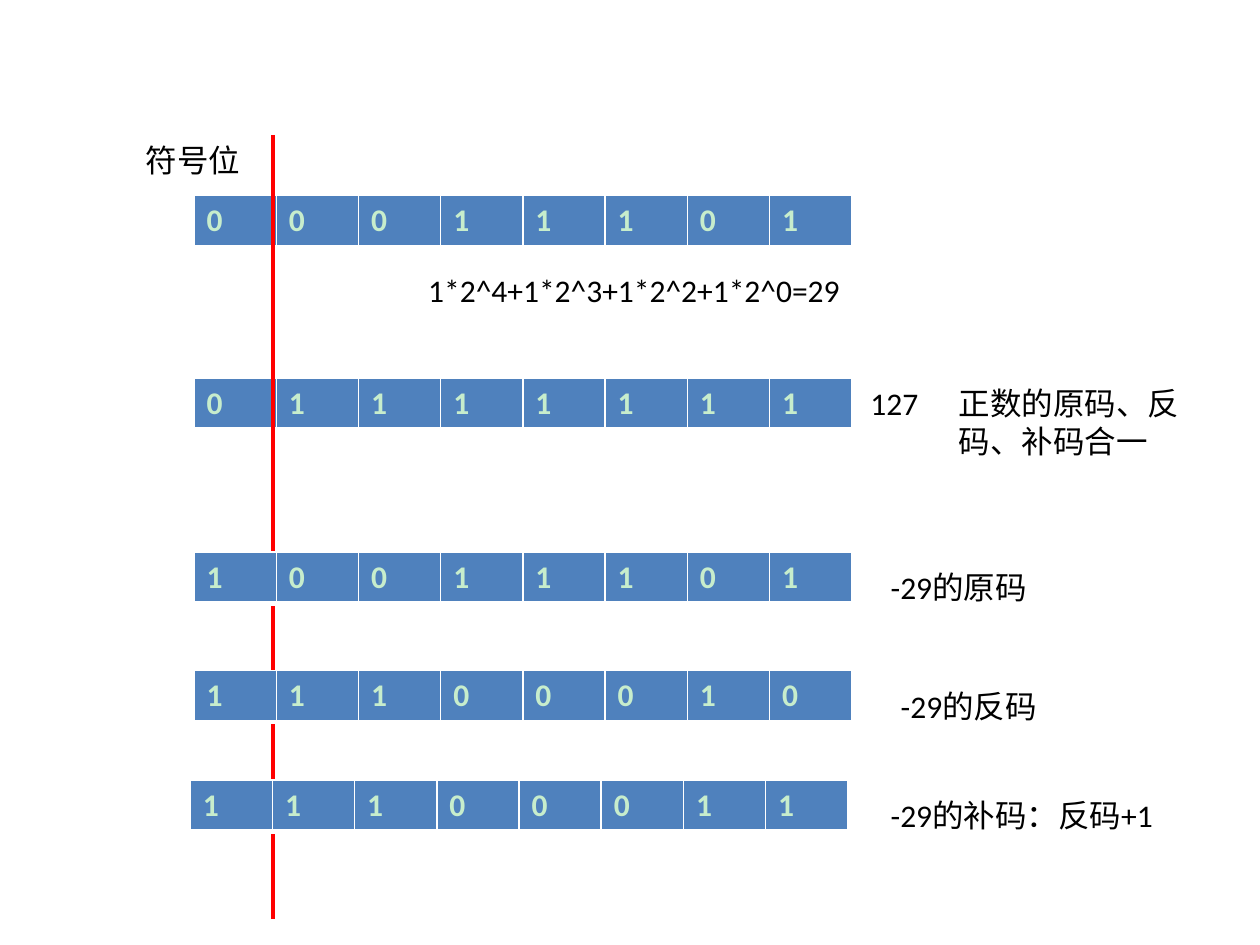
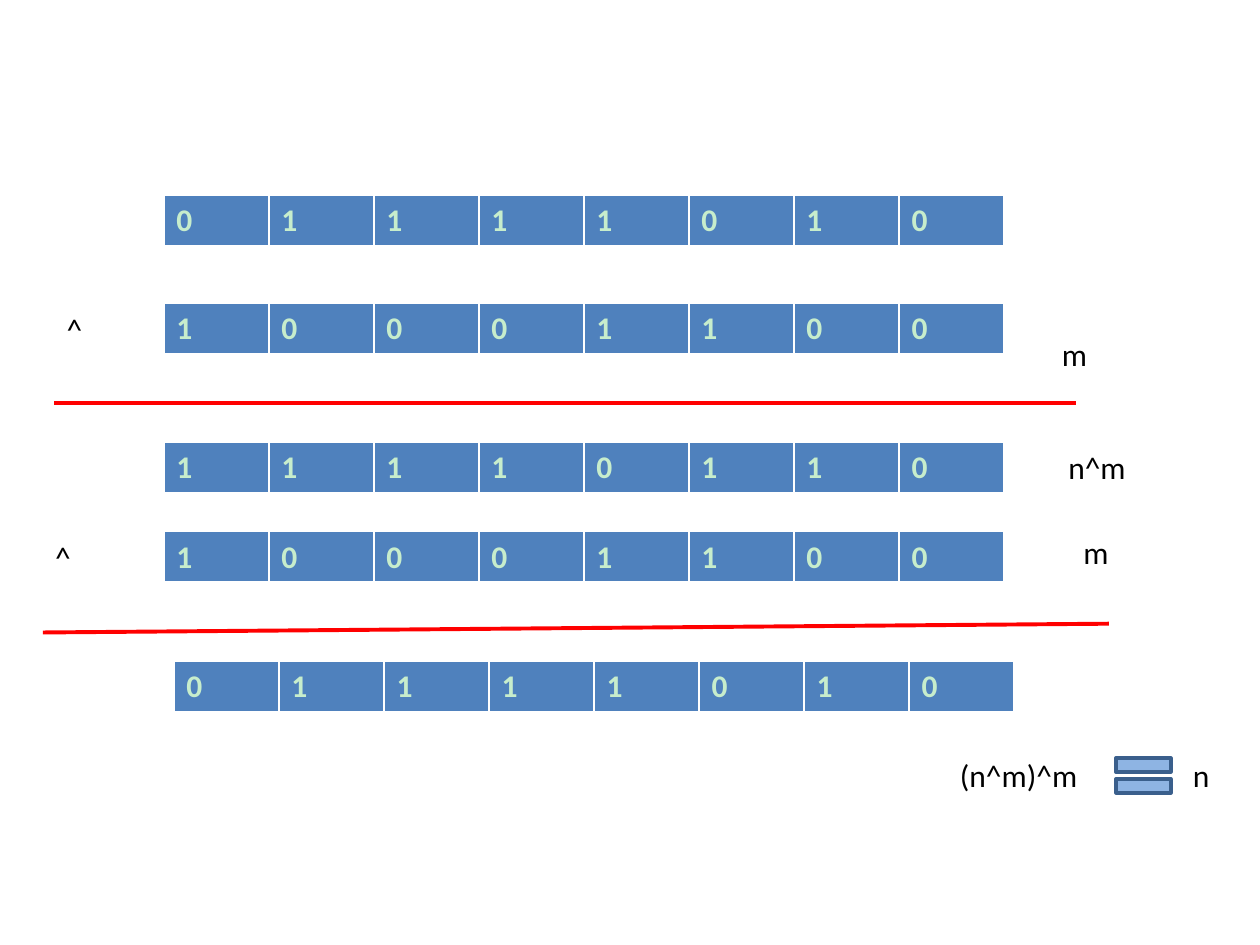
"""Builds two slides on signed binary codes and on undoing an XOR."""
import lxml.etree
import pptx
import pptx.dml.color
import pptx.enum.shapes
import pptx.enum.text
import pptx.oxml.ns
import pptx.util

COLS, ROWS = 100, 75
THEME = {
    "page": "FFFFFF", "cell": "4F81BD", "bit": "C7EDCC", "text": "000000",
    "rule": "FF0000", "equal": "8EB4E3", "equal_edge": "3A5F8C",
    "font": "Calibri", "size": 18, "rule_width": 2.25, "equal_width": 2,
    "borders": {"L": 1, "R": 1, "T": 1, "B": 3},
}
BIT_HEIGHT, TEXT_HEIGHT = 4.1, 4

SIGNED_CODES = [
    ("bits", "00011101", 15.4, 15.5, 52.2),
    ("text", "1*2^4+1*2^3+1*2^2+1*2^0=29", 33, 21, 39.8),
    ("bits", "01111111", 15.4, 30, 52.2),
    ("text", "127", 68.1, 30, 7.1),
    ("rule", 21.7, 10.7, 21.7, 72.9),
    ("text", "符号位", 10.6, 10.7, 13.4),
    ("text", "正数的原码、反码、补码合一", 75.1, 30, 20.5),
    ("bits", "10011101", 15.4, 43.8, 52.2),
    ("text", "-29的原码", 69.7, 44.6, 18.1),
    ("bits", "11100010", 15.4, 53.2, 52.2),
    ("text", "-29的反码", 70.5, 54, 18.9),
    ("bits", "11100011", 15.1, 61.9, 52.2),
    ("text", "-29的补码：反码+1", 69.7, 62.7, 25.8),
]
XOR_TWICE = [
    ("bits", "01111010", 13, 15.5, 66.7),
    ("bits", "10001100", 13, 24.1, 66.7),
    ("text", "^", 4.3, 24.1, 6.3),
    ("rule", 4.3, 32, 85.4, 32),
    ("bits", "11110110", 13, 35.1, 66.7),
    ("text", "n", 93.7, 59.5, 4.7),
    ("text", "m", 83.3, 26.1, 4.7),
    ("text", "n^m", 83.8, 35.1, 7.1),
    ("text", "^", 3.4, 42.2, 6.3),
    ("bits", "10001100", 13, 42.2, 66.7),
    ("rule", 3.4, 50.2, 88, 49.5),
    ("bits", "01111010", 13.8, 52.5, 66.7),
    ("text", "m", 85, 41.8, 4.7),
    ("text", "(n^m)^m", 75.2, 59.5, 12.9),
    ("equal", 87.8, 59.2, 5.9, 4.7),
]

prs = pptx.Presentation()
prs.slide_width, prs.slide_height = pptx.util.Inches(10), pptx.util.Inches(7.5)


def rgb(name):
    """Return a theme colour."""
    return pptx.dml.color.RGBColor.from_string(THEME[name])


def place(*lengths):
    """Turn alternating column and row counts into slide lengths."""
    units = prs.slide_width / COLS, prs.slide_height / ROWS
    return [round(n * units[i % 2]) for i, n in enumerate(lengths)]


def write(tf, text, color, bold=False):
    """Put one formatted run into a text frame."""
    r = tf.paragraphs[0].add_run()
    r.text = text
    formats = {"name": THEME["font"], "size": pptx.util.Pt(THEME["size"]), "bold": bold}
    for key, value in formats.items():
        setattr(r.font, key, value)
    r.font.color.rgb = rgb(color)


def add_borders(cell):
    """Edge a cell in the page colour."""
    tcPr = cell._tc.get_or_add_tcPr()
    for side, width in THEME["borders"].items():
        ln = lxml.etree.SubElement(tcPr, pptx.oxml.ns.qn(f"a:ln{side}"), w=str(pptx.util.Pt(width)))
        fill = lxml.etree.SubElement(ln, pptx.oxml.ns.qn("a:solidFill"))
        lxml.etree.SubElement(fill, pptx.oxml.ns.qn("a:srgbClr"), val=THEME["page"])


def add_bits(s, bits, x, y, width):
    """Draw a binary number as a one-row table."""
    table = s.shapes.add_table(1, len(bits), *place(x, y, width, BIT_HEIGHT)).table
    for i, bit in enumerate(bits):
        table.columns[i].width = place(width / len(bits))[0]
        cell = table.cell(0, i)
        add_borders(cell)
        cell.fill.solid()
        cell.fill.fore_color.rgb = rgb("cell")
        write(cell.text_frame, bit, "bit", True)


def add_text(s, text, x, y, width):
    """Add a wrapping label."""
    tf = s.shapes.add_textbox(*place(x, y, width, TEXT_HEIGHT)).text_frame
    formats = {"word_wrap": True, "auto_size": pptx.enum.text.MSO_AUTO_SIZE.SHAPE_TO_FIT_TEXT}
    for key, value in formats.items():
        setattr(tf, key, value)
    write(tf, text, "text")


def add_rule(s, *ends):
    """Draw a red line."""
    sp = s.shapes.add_connector(pptx.enum.shapes.MSO_CONNECTOR.STRAIGHT, *place(*ends))
    sp.line.color.rgb = rgb("rule")
    sp.line.width = pptx.util.Pt(THEME["rule_width"])
    lxml.etree.SubElement(sp._element.spPr, pptx.oxml.ns.qn("a:effectLst"))


def add_equal(s, *box):
    """Draw the equals sign."""
    sp = s.shapes.add_shape(pptx.enum.shapes.MSO_SHAPE.MATH_EQUAL, *place(*box))
    sp.shadow.inherit = False
    sp.fill.solid()
    sp.fill.fore_color.rgb = rgb("equal")
    sp.line.color.rgb = rgb("equal_edge")
    sp.line.width = pptx.util.Pt(THEME["equal_width"])


DRAW = {"bits": add_bits, "text": add_text, "rule": add_rule, "equal": add_equal}

for items in (SIGNED_CODES, XOR_TWICE):
    s = prs.slides.add_slide(prs.slide_layouts[6])
    s.background.fill.solid()
    s.background.fill.fore_color.rgb = rgb("page")
    for kind, *values in items:
        DRAW[kind](s, *values)

prs.save("out.pptx")
